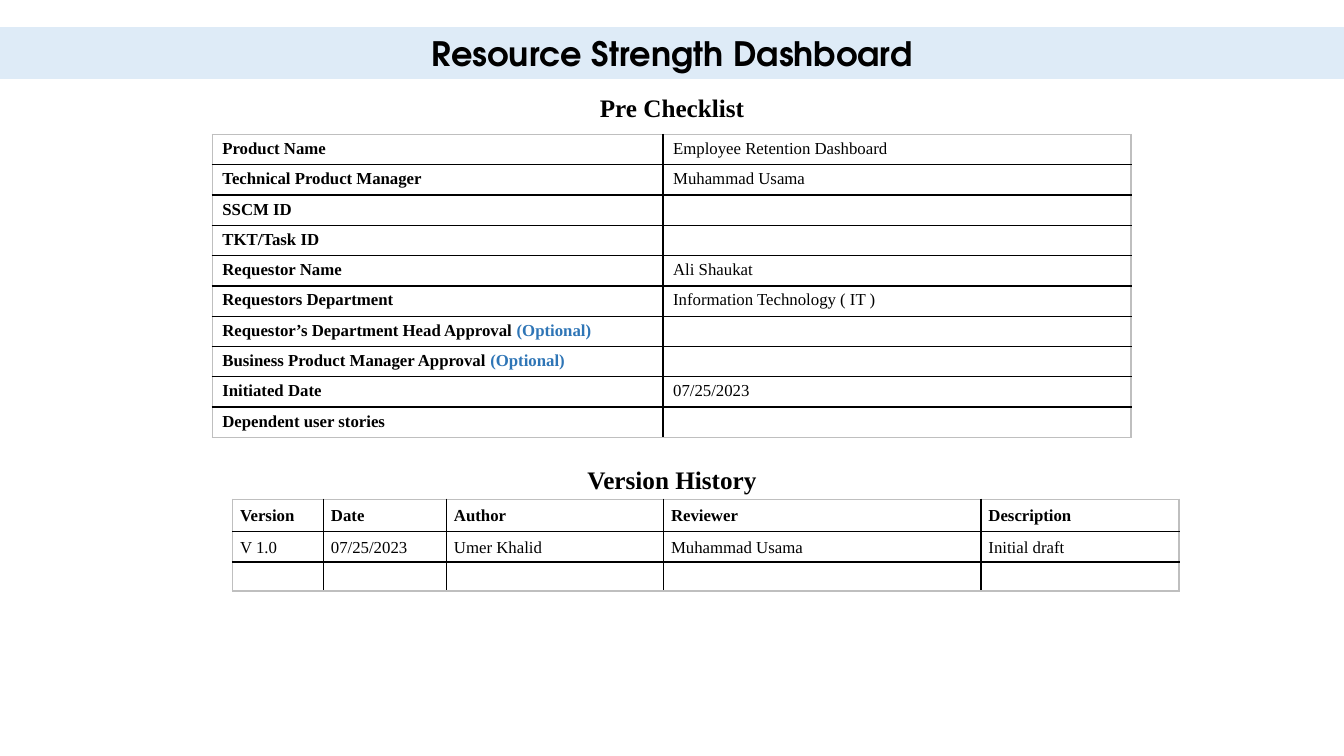
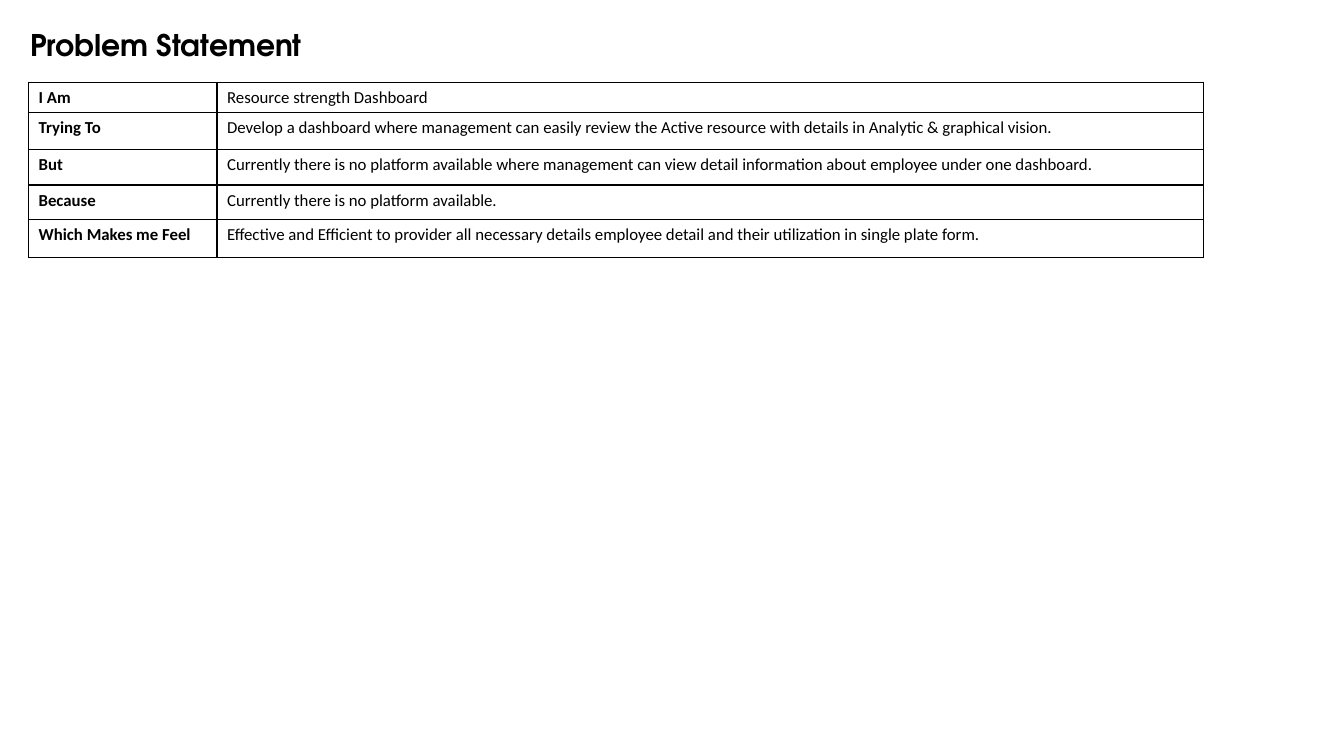
from lxml.etree import SubElement
from pptx import Presentation
from pptx.dml.color import RGBColor
from pptx.enum.shapes import MSO_SHAPE
from pptx.enum.text import MSO_ANCHOR, PP_ALIGN
from pptx.oxml.ns import qn
from pptx.util import Cm, Pt


def rgb(value):
    return RGBColor.from_string(value)


class Deck:
    """Hold the shared style and the slide being filled."""

    BLACK, WHITE, BAND, ACCENT, PALE = "000000", "FFFFFF", "DEEBF7", "2E75B6", "BFBFBF"
    TITLE_FONT, SERIF, SANS = "TeX Gyre Adventor", "Times New Roman", "Calibri"
    WIDTH, HEIGHT = 33.87, 19.05

    def __init__(self):
        self.presentation = Presentation()
        self.presentation.slide_width = Cm(self.WIDTH)
        self.presentation.slide_height = Cm(self.HEIGHT)
        self.slide = None

    def new_slide(self):
        self.slide = self.presentation.slides.add_slide(self.presentation.slide_layouts[6])

    def style(self, paragraph, font, size, bold=True, align=PP_ALIGN.LEFT):
        paragraph.alignment = align
        paragraph.font.name = font
        paragraph.font.size = Pt(size)
        paragraph.font.bold = bold
        paragraph.font.color.rgb = rgb(self.BLACK)

    def set_text(self, shape, text, font, size, align):
        frame = shape.text_frame
        frame.word_wrap = True
        frame.vertical_anchor = MSO_ANCHOR.MIDDLE
        frame.text = text
        self.style(frame.paragraphs[0], font, size, align=align)
        return frame.paragraphs[0]

    def band(self, text, top, height):
        banner = self.slide.shapes.add_shape(
            MSO_SHAPE.RECTANGLE, 0, Cm(top), Cm(self.WIDTH), Cm(height))
        banner.shadow.inherit = False
        banner.fill.solid()
        banner.fill.fore_color.rgb = rgb(self.BAND)
        banner.line.color.rgb = rgb(self.BAND)
        banner.line.width = Pt(0.75)
        self.set_text(banner, text, self.TITLE_FONT, 24, PP_ALIGN.CENTER)

    def label(self, text, left, top, width, height, font, size, align):
        box = self.slide.shapes.add_textbox(Cm(left), Cm(top), Cm(width), Cm(height))
        return self.set_text(box, text, font, size, align)

    def heading(self, text, top):
        self.label(text, 0, top, self.WIDTH, 1.02, self.SERIF, 18, PP_ALIGN.CENTER)

    def title(self, text):
        paragraph = self.label(text, 0.51, 0.53, 8.9, 1.3, self.TITLE_FONT, 21.3, PP_ALIGN.LEFT)
        paragraph.line_spacing = 0.9

    def border(self, cell, side, color):
        line = SubElement(cell._tc.get_or_add_tcPr(), qn(f"a:ln{side}"), w=str(Pt(1)))
        fill = SubElement(line, qn("a:solidFill"))
        SubElement(fill, qn("a:srgbClr"), val=color)

    def table(self, left, top, widths, heights, rows, font, edge=BLACK, header=False):
        frame = self.slide.shapes.add_table(
            len(rows), len(widths), Cm(left), Cm(top), Cm(sum(widths)), Cm(sum(heights)))
        grid = frame.table
        grid.first_row = grid.horz_banding = False
        for column, width in zip(grid.columns, widths):
            column.width = Cm(width)
        for row, height in zip(grid.rows, heights):
            row.height = Cm(height)
        last_row, last_column = len(rows) - 1, len(widths) - 1
        for r, row in enumerate(rows):
            for c, content in enumerate(row):
                cell = grid.cell(r, c)
                outer = {"L": c == 0, "R": c == last_column, "T": r == 0, "B": r == last_row}
                for side, is_outer in outer.items():
                    self.border(cell, side, edge if is_outer else self.BLACK)
                cell.fill.solid()
                cell.fill.fore_color.rgb = rgb(self.WHITE)
                if header:
                    cell.vertical_anchor = MSO_ANCHOR.MIDDLE
                    cell.margin_left = cell.margin_right = Cm(0.19)
                    cell.margin_top = cell.margin_bottom = 0
                self.fill_cell(cell, content, font, r == 0 if header else c == 0, header)

    def fill_cell(self, cell, content, font, bold, spaced):
        paragraph = cell.text_frame.paragraphs[0]
        self.style(paragraph, font, 12, bold)
        if spaced:
            paragraph.line_spacing = 1.07
        if not content:
            paragraph._p.get_or_add_endParaRPr().set("sz", "1200")
            return
        text, mark, rest = content.partition("(Optional)")
        paragraph.add_run().text = text
        if mark:
            optional = paragraph.add_run()
            optional.text = mark + rest
            optional.font.color.rgb = rgb(self.ACCENT)


CHECKLIST = [
    ("Product Name", "Employee Retention Dashboard"),
    ("Technical Product Manager", "Muhammad Usama"),
    ("SSCM ID", ""),
    ("TKT/Task ID", ""),
    ("Requestor Name", "Ali Shaukat"),
    ("Requestors Department", "Information Technology ( IT )"),
    ("Requestor’s Department Head Approval (Optional)", ""),
    ("Business Product Manager Approval (Optional)", ""),
    ("Initiated Date", "07/25/2023"),
    ("Dependent user stories", ""),
]
VERSIONS = [
    ("Version", "Date", "Author", "Reviewer", "Description"),
    ("V 1.0", "07/25/2023", "Umer Khalid", "Muhammad Usama", "Initial draft"),
    ("",) * 5,
]
PROBLEM = [
    ("I Am", "Resource strength Dashboard"),
    ("Trying To", "Develop a dashboard where management can easily review the Active resource "
                  "with details in Analytic & graphical vision."),
    ("But", "Currently there is no platform available where management can view detail "
            "information about employee under one dashboard."),
    ("Because", "Currently there is no platform available."),
    ("Which Makes me Feel", "Effective and Efficient to provider all necessary details employee "
                            "detail and their utilization in single plate form."),
]


def main():
    deck = Deck()

    deck.new_slide()
    deck.band("Resource Strength Dashboard", 0.7, 1.28)
    deck.heading("Pre Checklist", 2.2)
    deck.table(5.35, 3.39, [11.36, 11.79], [0.76] * len(CHECKLIST), CHECKLIST,
               deck.SERIF, edge=deck.PALE)
    deck.heading("Version History", 11.57)
    deck.table(5.86, 12.58, [2.29, 3.1, 5.47, 8, 4.99], [0.82, 0.76, 0.73], VERSIONS,
               deck.SERIF, edge=deck.PALE, header=True)

    deck.new_slide()
    deck.title("Problem Statement")
    deck.table(0.72, 2.07, [4.75, 24.85], [0.76, 0.93, 0.9, 0.86, 0.97], PROBLEM, deck.SANS)

    deck.presentation.save("out.pptx")


if __name__ == "__main__":
    main()
